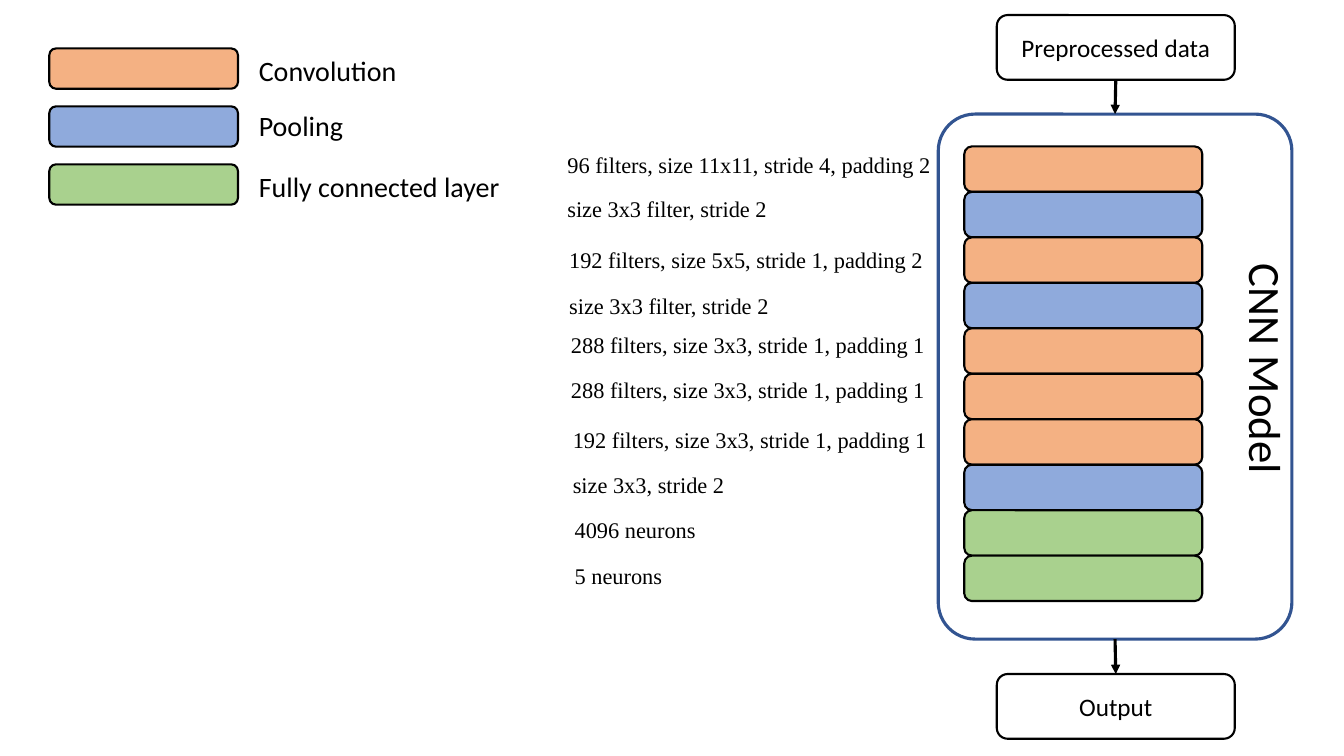
from lxml.etree import SubElement
from pptx import Presentation
from pptx.dml.color import RGBColor
from pptx.enum.shapes import MSO_CONNECTOR as CONNECTOR, MSO_SHAPE as SHAPE
from pptx.enum.text import MSO_ANCHOR as ANCHOR, PP_ALIGN as ALIGN
from pptx.oxml.ns import qn
from pptx.util import Pt

BLACK, WHITE, FRAME_BLUE = "000000", "FFFFFF", "325491"
CONVOLUTION, POOLING, CONNECTED = "F4B183", "8FAADC", "A9D18E"


def add_box(shapes, left, top, width, height, fill=None, line=BLACK, weight=1.5):
    """Add a rounded rectangle, unfilled when no fill is given."""
    box = shapes.add_shape(SHAPE.ROUNDED_RECTANGLE,
                           Pt(left), Pt(top), Pt(width), Pt(height))
    box.shadow.inherit = False
    if fill:
        box.fill.solid()
        box.fill.fore_color.rgb = RGBColor.from_string(fill)
    else:
        box.fill.background()
    box.line.color.rgb = RGBColor.from_string(line)
    box.line.width = Pt(weight)
    return box


def write(shape, text, size, font="Calibri", align=ALIGN.LEFT, anchor=ANCHOR.TOP):
    """Put one formatted black line of text in a shape."""
    frame = shape.text_frame
    frame.text = text
    frame.word_wrap = True
    frame.vertical_anchor = anchor
    paragraph = frame.paragraphs[0]
    paragraph.alignment = align
    run_font = paragraph.runs[0].font
    run_font.name, run_font.size = font, Pt(size)
    run_font.color.rgb = RGBColor.from_string(BLACK)


presentation = Presentation()
presentation.slide_width, presentation.slide_height = Pt(960), Pt(540)
slide = presentation.slides.add_slide(presentation.slide_layouts[6])

# Legend
legend = slide.shapes.add_group_shape().shapes
legend_rows = [
    ("Convolution", CONVOLUTION, 34.6, 122.4),
    ("Pooling", POOLING, 74.2, 122.4),
    ("Fully connected layer", CONNECTED, 117.4, 191.5),
]
for row, (name, color, label_top, label_width) in enumerate(legend_rows):
    add_box(legend, 35.2, 34.6 + 41.4 * row, 134.8, 28.8, color)
    label = legend.add_textbox(Pt(177.8), Pt(label_top), Pt(label_width), Pt(28.4))
    write(label, name, 20)

# Model: layer stack inside its frame, with a note beside each layer
layers = [
    (CONVOLUTION, "96 filters, size 11x11, stride 4, padding 2", 104.4),
    (POOLING, "size 3x3 filter, stride 2", 136.2),
    (CONVOLUTION, "192 filters, size 5x5, stride 1, padding 2", 172.6),
    (POOLING, "size 3x3 filter, stride 2", 205.2),
    (CONVOLUTION, "288 filters, size 3x3, stride 1, padding 1", 233),
    (CONVOLUTION, "288 filters, size 3x3, stride 1, padding 1", 265),
    (CONVOLUTION, "192 filters, size 3x3, stride 1, padding 1", 301),
    (POOLING, "size 3x3, stride 2", 333.2),
    (CONNECTED, "4096 neurons", 365.2),
    (CONNECTED, "5 neurons", 398),
]
model = slide.shapes.add_group_shape().shapes
notes = slide.shapes.add_group_shape().shapes
for index, (color, note_text, note_top) in enumerate(layers):
    add_box(model, 688.8, 104.6 + 32.48 * index, 170, 32.4, color)
    note_left = 398.2 + 1.3 * (index // 2)
    note = notes.add_textbox(Pt(note_left), Pt(note_top), Pt(316), Pt(26.6))
    write(note, note_text, 16, "Times New Roman")

model_frame = add_box(model, 670.2, 81.5, 252.6, 375, line=FRAME_BLUE, weight=2.25)
model_frame.adjustments[0] = 0.104
model_name = model.add_textbox(Pt(799.2), Pt(240.5), Pt(211), Pt(46))
model_name.rotation = 90
write(model_name, "CNN Model", 32, align=ALIGN.CENTER)

# Input and output
for text, top in [("Preprocessed data", 10.8), ("Output", 481.5)]:
    box = add_box(model, 712, top, 170, 46.2, WHITE)
    write(box, text, 18, align=ALIGN.CENTER, anchor=ANCHOR.MIDDLE)

for start, end in [((797, 57), (796.5, 81.5)), ((796.5, 456.5), (797, 481.5))]:
    arrow = model.add_connector(CONNECTOR.STRAIGHT, *map(Pt, start + end))
    arrow.line.color.rgb = RGBColor.from_string(BLACK)
    arrow.line.width = Pt(2.25)
    SubElement(arrow.line._get_or_add_ln(), qn("a:tailEnd"), type="triangle")
    SubElement(arrow._element.spPr, qn("a:effectLst"))

presentation.save("out.pptx")
